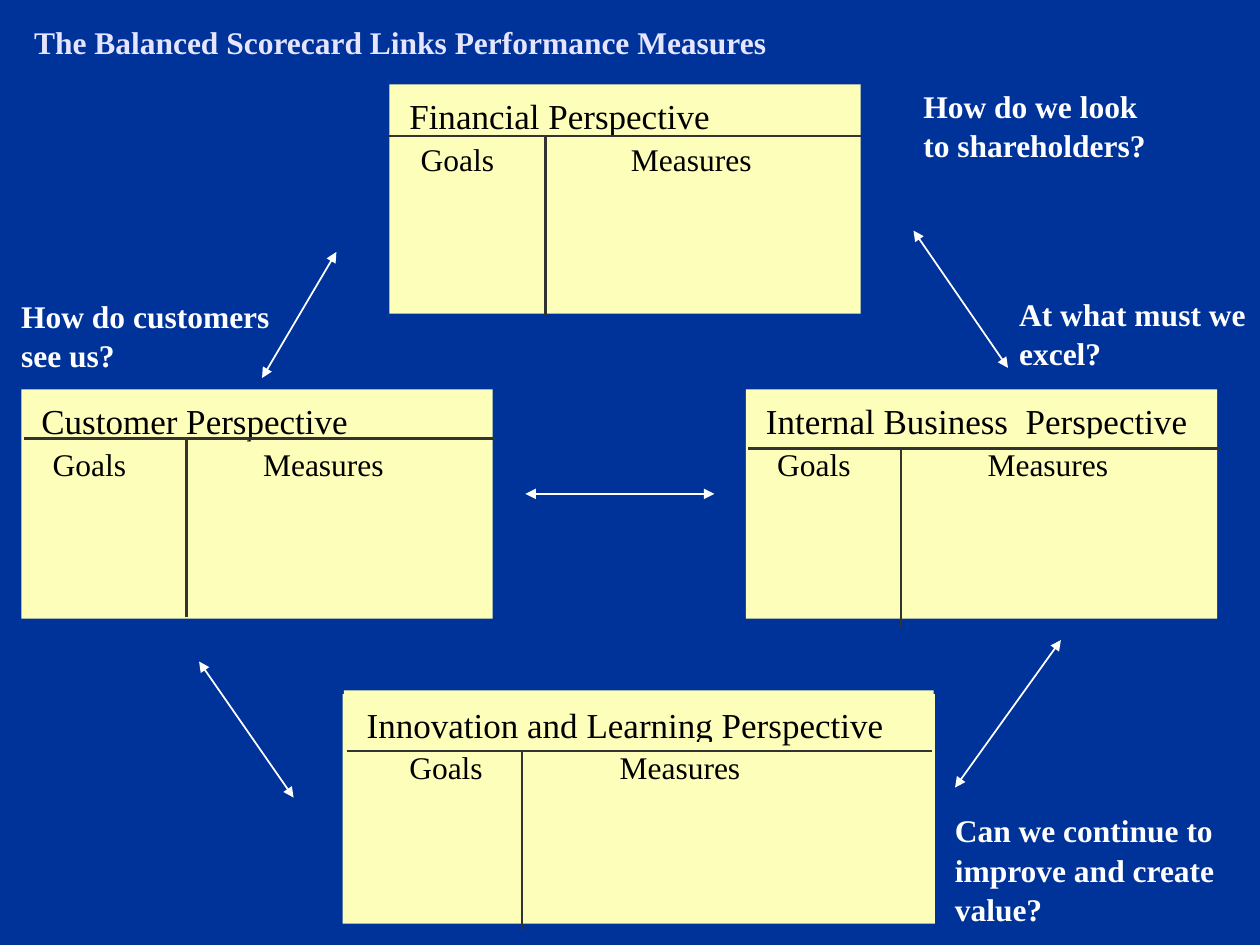
from dataclasses import dataclass

from lxml.etree import SubElement
from pptx import Presentation
from pptx.dml.color import RGBColor
from pptx.enum.shapes import MSO_CONNECTOR, MSO_SHAPE
from pptx.enum.text import MSO_ANCHOR, MSO_AUTO_SIZE, PP_ALIGN
from pptx.oxml.ns import qn
from pptx.util import Inches, Pt


@dataclass(frozen=True)
class Theme:
    font: str = "Times New Roman"
    back: str = "003399"
    title: str = "E5E5FF"
    card: str = "FCFEB9"
    ink: str = "000000"
    rule: str = "333333"
    light: str = "FFFFFF"
    head: int = 20
    body: int = 18


class Board:
    def __init__(self, slide, theme):
        self.slide, self.theme = slide, theme
        fill = slide.background.fill
        fill.solid()
        fill.fore_color.rgb = RGBColor.from_string(theme.back)

    def put(self, frame, lines, size, color, bold=False):
        for i, line in enumerate(lines):
            para = frame.paragraphs[0] if i == 0 else frame.add_paragraph()
            para.alignment = PP_ALIGN.LEFT
            run = para.add_run()
            run.text = line
            font = run.font
            font.name, font.size, font.bold = self.theme.font, Pt(size), bold
            font.color.rgb = RGBColor.from_string(color)

    def title(self, text, x, y, w, h):
        box = self.slide.shapes.title
        box.left, box.top, box.width, box.height = map(Inches, (x, y, w, h))
        box.text_frame.vertical_anchor = MSO_ANCHOR.MIDDLE
        self.put(box.text_frame, [text], self.theme.body, self.theme.title, True)

    def rect(self, group, x, y, w, h):
        box = group.shapes.add_shape(MSO_SHAPE.RECTANGLE, *map(Inches, (x, y, w, h)))
        box.shadow.inherit = False
        box.fill.solid()
        box.fill.fore_color.rgb = RGBColor.from_string(self.theme.card)
        box.line.fill.background()
        return box

    def label(self, group, text, x, y, w, h, size):
        frame = self.rect(group, x, y, w, h).text_frame
        frame.word_wrap = False
        frame.vertical_anchor = MSO_ANCHOR.TOP
        self.put(frame, [text], size, self.theme.ink)
        return frame

    def card(self, x, y, w, head, spot, goals):
        """Panel with a heading at spot and the two column labels."""
        group = self.slide.shapes.add_group_shape()
        self.rect(group, x, y, w, 1.82)
        frame = self.label(group, head, *spot, self.theme.head)
        gx, gy = goals
        for text, left, width in (("Goals", gx, 0.78), ("Measures", gx + 1.67, 1.16)):
            self.label(group, text, left, gy, width, 0.4, self.theme.body)
        return frame

    def note(self, lines, x, y, w, h):
        box = self.slide.shapes.add_textbox(*map(Inches, (x, y, w, h)))
        frame = box.text_frame
        frame.word_wrap = False
        frame.auto_size = MSO_AUTO_SIZE.SHAPE_TO_FIT_TEXT
        self.put(frame, lines, self.theme.body, self.theme.light, True)
        for para in frame.paragraphs[1:]:
            para.space_before = Pt(0.8)

    def line(self, start, end, color, width):
        link = self.slide.shapes.add_connector(
            MSO_CONNECTOR.STRAIGHT, *map(Inches, (*start, *end)))
        link.line.color.rgb = RGBColor.from_string(color)
        link.line.width = Pt(width)
        SubElement(link._element.spPr, qn("a:effectLst"))
        return link

    def arrow(self, start, end):
        link = self.line(start, end, self.theme.light, 1)
        for tag in ("a:headEnd", "a:tailEnd"):
            SubElement(link.line._get_or_add_ln(), qn(tag), type="triangle")

    def cross(self, x, y, w, split):
        """Rule under a heading and the divider below it."""
        for start, end in (((x, y), (x + w, y)), ((split, y), (split, y + 1.42))):
            self.line(start, end, self.theme.rule, 1.25)


def main():
    deck = Presentation()
    deck.slide_width, deck.slide_height = Inches(10), Inches(7.5)
    board = Board(deck.slides.add_slide(deck.slide_layouts[5]), Theme())
    board.title("The Balanced Scorecard Links Performance Measures", 0.17, 0.08, 7, 0.5)

    # Three equal cards
    for x, y, head, width in (
        (3.09, 0.67, "Financial Perspective", 2.59),
        (0.17, 3.09, "Customer Perspective", 2.63),
        (5.92, 3.09, "Internal Business  Perspective", 3.55),
    ):
        board.card(x, y, 3.74, head, (x + 0.06, y + 0.03, width, 0.43),
                   (x + 0.15, y + 0.39))

    # Wide card at the foot
    frame = board.card(2.72, 5.51, 4.7, "Innovation and Learning Perspective",
                       (2.73, 5.48, 4.68, 0.5), (3.15, 5.89))
    frame.word_wrap = True
    frame.margin_left, frame.margin_top = Inches(0.18), Inches(0.1)

    # Links between cards
    for start, end in (
        ((2.67, 2), (2.08, 3)),
        ((7.25, 1.83), (8, 2.92)),
        ((1.58, 5.25), (2.33, 6.33)),
        ((8.42, 5.08), (7.58, 6.25)),
        ((4.17, 3.92), (5.67, 3.92)),
    ):
        board.arrow(start, end)

    # Questions
    for lines, *spot in (
        (("How do customers", "see us?"), 0.07, 2.31, 2.17, 0.7),
        (("How do we look", "to shareholders?"), 7.23, 0.64, 1.97, 0.7),
        (("At what must we", "excel?"), 7.99, 2.29, 2, 0.7),
        (("Can we continue to", "improve and create", "value?"), 7.48, 6.39, 2.27, 1),
    ):
        board.note(lines, *spot)

    # Rules inside the cards
    for x, y, w, split in (
        (3.08, 1.08, 3.75, 4.33),
        (0.19, 3.48, 3.75, 1.48),
        (2.75, 5.96, 4.65, 4.14),
        (5.94, 3.56, 3.75, 7.15),
    ):
        board.cross(x, y, w, split)

    deck.save("out.pptx")


if __name__ == "__main__":
    main()
